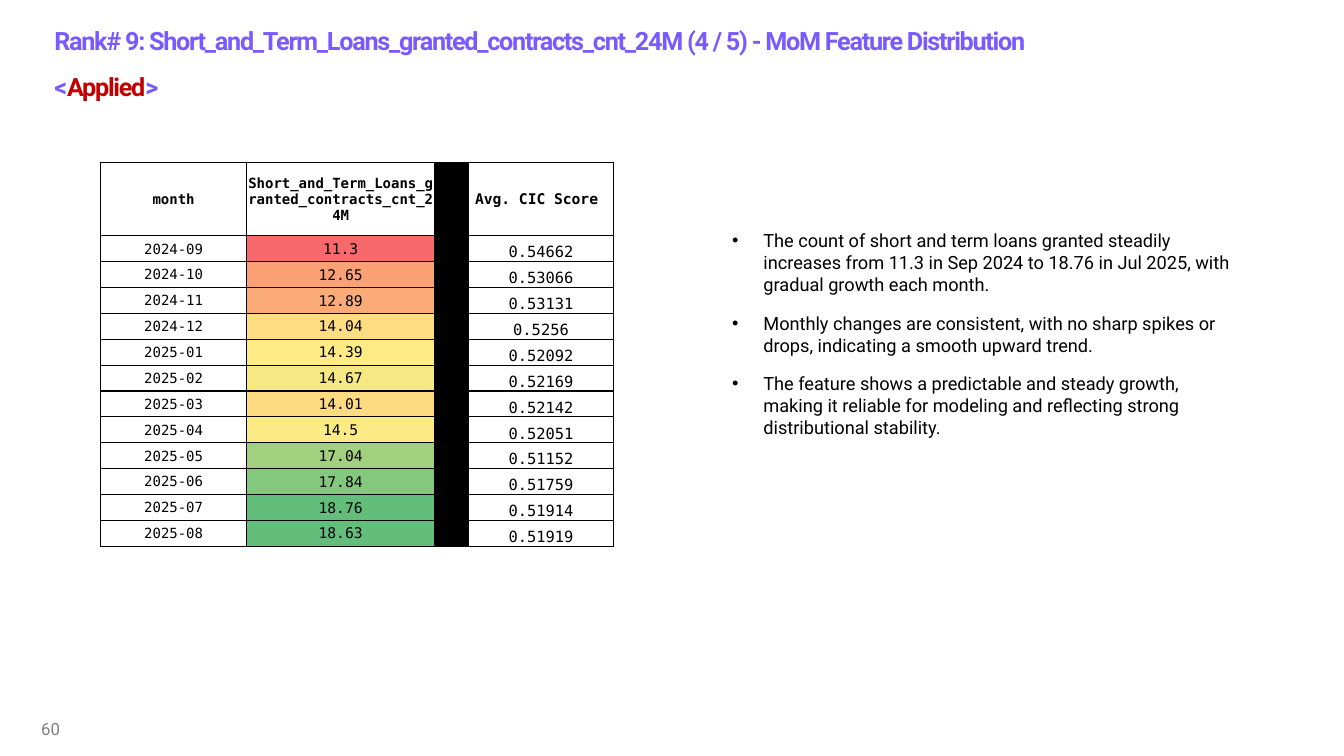
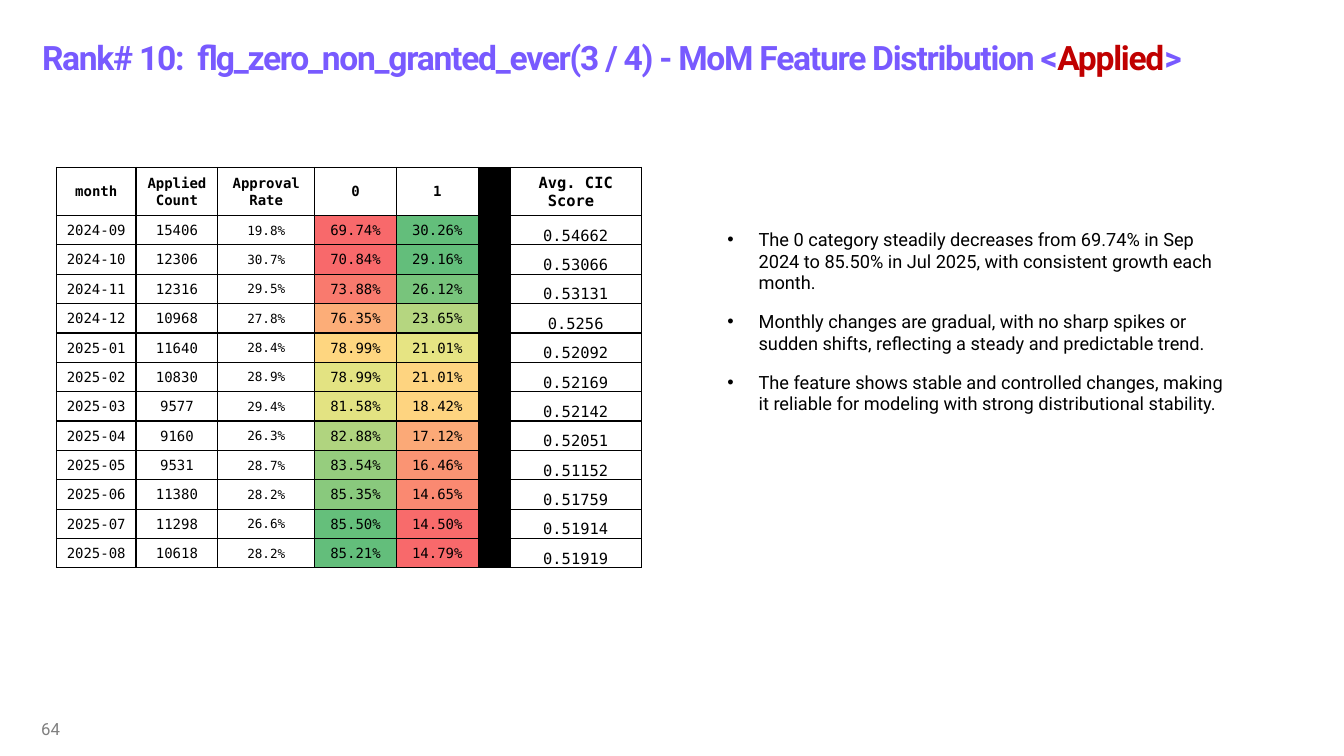
import lxml.etree
import pptx
import pptx.dml.color
import pptx.enum.text
import pptx.oxml.ns
import pptx.util

Cm = pptx.util.Cm
Pt = pptx.util.Pt
qn = pptx.oxml.ns.qn
ANCHOR = pptx.enum.text.MSO_ANCHOR
CENTER = pptx.enum.text.PP_ALIGN.CENTER

SANS, MONO = "Roboto", "DejaVu Sans Mono"
PURPLE, RED, GREY, BLACK, WHITE = "785AFF", "C00000", "808080", "000000", "FFFFFF"

months = ["2024-09", "2024-10", "2024-11", "2024-12", "2025-01", "2025-02",
          "2025-03", "2025-04", "2025-05", "2025-06", "2025-07", "2025-08"]
scores = ["0.54662", "0.53066", "0.53131", "0.5256", "0.52092", "0.52169",
          "0.52142", "0.52051", "0.51152", "0.51759", "0.51914", "0.51919"]
month_col = {"head": "month", "width": 2.01, "values": months}
gap_col = {"head": "", "width": 0.81, "values": [""] * 12, "fills": [BLACK] * 12}
score_col = {"head": "Avg. CIC Score ", "width": 3.3, "values": scores,
             "head_size": 11, "size": 11, "anchor": ANCHOR.BOTTOM}

slides = [
    {
        "title": "Rank# 9: Short_and_Term_Loans_granted_contracts_cnt_24M (4 / 5) - MoM Feature Distribution <",
        "title_box": (1.12, 0.66, 27.5, 1.5),
        "title_size": 18,
        "title_spacing": 1.5,
        "number": "60",
        "notes_box": (18.2, 5.66, 13.13, 6.53),
        "bullets": [
            "The count of short and term loans granted steadily increases from 11.3 in Sep 2024 to 18.76 in Jul 2025, with gradual growth each month.",
            "Monthly changes are consistent, with no sharp spikes or drops, indicating a smooth upward trend.",
            "The feature shows a predictable and steady growth, making it reliable for modeling and reflecting strong distributional stability.",
        ],
        "table_at": (2.54, 4.09),
        "table_height": 9.68,
        "head_height": 1.85,
        "cols": [
            {**month_col, "width": 3.67},
            {"head": "Short_and_Term_Loans_granted_contracts_cnt_24M", "width": 4.75, "size": 10.5,
             "values": ["11.3", "12.65", "12.89", "14.04", "14.39", "14.67",
                        "14.01", "14.5", "17.04", "17.84", "18.76", "18.63"],
             "fills": ["F8696B", "FBA175", "FBAB77", "FEDC81", "FFEB84", "F6E984",
                       "FEDB80", "FCEA84", "A1D07F", "84C87D", "63BE7B", "63BE7B"]},
            {**gap_col, "width": 0.84},
            {**score_col, "width": 3.67, "head_size": 10.5},
        ],
    },
    {
        "title": "Rank# 10:  flg_zero_non_granted_ever(3 / 4) - MoM Feature Distribution <",
        "title_box": (0.81, 0, 33.05, 2.9),
        "title_size": 24,
        "title_spacing": 1.0,
        "number": "64",
        "notes_box": (18.08, 5.62, 13.13, 5.44),
        "bullets": [
            "The 0 category steadily decreases from 69.74% in Sep 2024 to 85.50% in Jul 2025, with consistent growth each month.",
            "Monthly changes are gradual, with no sharp spikes or sudden shifts, reflecting a steady and predictable trend.",
            "The feature shows stable and controlled changes, making it reliable for modeling with strong distributional stability.",
        ],
        "table_at": (1.42, 4.22),
        "table_height": 10.1,
        "head_height": 1.21,
        "cols": [
            month_col,
            {"head": "Applied Count", "width": 2.06,
             "values": ["15406", "12306", "12316", "10968", "11640", "10830",
                        "9577", "9160", "9531", "11380", "11298", "10618"]},
            {"head": "Approval Rate", "width": 2.44, "size": 9,
             "values": ["19.8%", "30.7%", "29.5%", "27.8%", "28.4%", "28.9%",
                        "29.4%", "26.3%", "28.7%", "28.2%", "26.6%", "28.2%"]},
            {"head": "0", "width": 2.06,
             "values": ["69.74%", "70.84%", "73.88%", "76.35%", "78.99%", "78.99%",
                        "81.58%", "82.88%", "83.54%", "85.35%", "85.50%", "85.21%"],
             "fills": ["F8696B", "F8696B", "F97A6E", "FCAD78", "FED680", "E3E382",
                       "E3E382", "B0D47F", "96CD7E", "89C97D", "65BF7B", "63BE7B"]},
            {"head": "1", "width": 2.06,
             "values": ["30.26%", "29.16%", "26.12%", "23.65%", "21.01%", "21.01%",
                        "18.42%", "17.12%", "16.46%", "14.65%", "14.50%", "14.79%"],
             "fills": ["63BE7B", "63BE7B", "78C47C", "B5D680", "E6E483", "FED480",
                       "FED480", "FBA977", "FA9473", "FA8971", "F86B6B", "F8696B"]},
            gap_col,
            score_col,
        ],
    },
]


def paint(fmt, color):
    if hasattr(fmt, "solid"):
        fmt.solid()
        fmt = fmt.fore_color
    fmt.rgb = pptx.dml.color.RGBColor.from_string(color)


def add_run(p, text, size, color, font=SANS, bold=False):
    r = p.add_run()
    r.text = text
    r.font.name = font
    r.font.size = Pt(size)
    r.font.bold = bold
    paint(r.font.color, color)
    return r


prs = pptx.Presentation()
prs.slide_width = Cm(33.87)
prs.slide_height = Cm(19.05)

for page in slides:
    s = prs.slides.add_slide(prs.slide_layouts[6])

    tf = s.shapes.add_textbox(*map(Cm, page["title_box"])).text_frame
    tf.word_wrap = True
    tf.vertical_anchor = ANCHOR.MIDDLE
    p = tf.paragraphs[0]
    p.line_spacing = page["title_spacing"]
    for text, color in [(page["title"], PURPLE), ("Applied", RED), (">", PURPLE)]:
        r = add_run(p, text, page["title_size"], color, bold=True)
        r.font._element.set("spc", "-90")

    tf = s.shapes.add_textbox(Cm(0.79), Cm(17.86), Cm(7.62), Cm(1.02)).text_frame
    tf.word_wrap = True
    tf.vertical_anchor = ANCHOR.MIDDLE
    p = tf.paragraphs[0]
    p.space_after = Pt(6)
    add_run(p, page["number"], 12, GREY)

    tf = s.shapes.add_textbox(*map(Cm, page["notes_box"])).text_frame
    tf.word_wrap = True
    tf.auto_size = pptx.enum.text.MSO_AUTO_SIZE.SHAPE_TO_FIT_TEXT
    for i, text in enumerate(page["bullets"]):
        p = tf.add_paragraph() if i else tf.paragraphs[0]
        p.space_after = Pt(12)
        pPr = p._p.get_or_add_pPr()
        pPr.set("marL", str(Cm(0.79)))
        pPr.set("indent", str(-Cm(0.79)))
        lxml.etree.SubElement(pPr, qn("a:buFont"), typeface="Arial")
        lxml.etree.SubElement(pPr, qn("a:buChar"), char="•")
        add_run(p, text, 13, BLACK)

    cols = page["cols"]
    left, top = page["table_at"]
    width = sum(col["width"] for col in cols)
    tbl = s.shapes.add_table(13, len(cols), Cm(left), Cm(top), Cm(width), Cm(page["table_height"])).table
    tbl.first_row = False
    tbl.horz_banding = False
    for row in tbl.rows:
        row.height = Cm((page["table_height"] - page["head_height"]) / 12)
    tbl.rows[0].height = Cm(page["head_height"])

    for j, col in enumerate(cols):
        tbl.columns[j].width = Cm(col["width"])
        head_fill = WHITE if col["head"] else BLACK
        fills = [head_fill] + col.get("fills", [WHITE] * 12)
        for i, text in enumerate([col["head"]] + col["values"]):
            cell = tbl.cell(i, j)
            cell.margin_left = cell.margin_right = cell.margin_top = Cm(0.03)
            cell.margin_bottom = 0
            cell.vertical_anchor = col.get("anchor", ANCHOR.MIDDLE) if i else ANCHOR.MIDDLE
            tcPr = cell._tc.get_or_add_tcPr()
            for side in ("lnL", "lnR", "lnT", "lnB"):
                ln = lxml.etree.SubElement(tcPr, qn("a:" + side), w=str(Pt(1)))
                line_fill = lxml.etree.SubElement(ln, qn("a:solidFill"))
                lxml.etree.SubElement(line_fill, qn("a:srgbClr"), val=BLACK)
            paint(cell.fill, fills[i])
            p = cell.text_frame.paragraphs[0]
            p.alignment = CENTER
            if text:
                size = col.get("size" if i else "head_size", 10)
                add_run(p, text, size, BLACK, MONO, bold=i == 0)
            else:
                lxml.etree.SubElement(p._p, qn("a:endParaRPr"), sz="1000")

prs.save("out.pptx")
